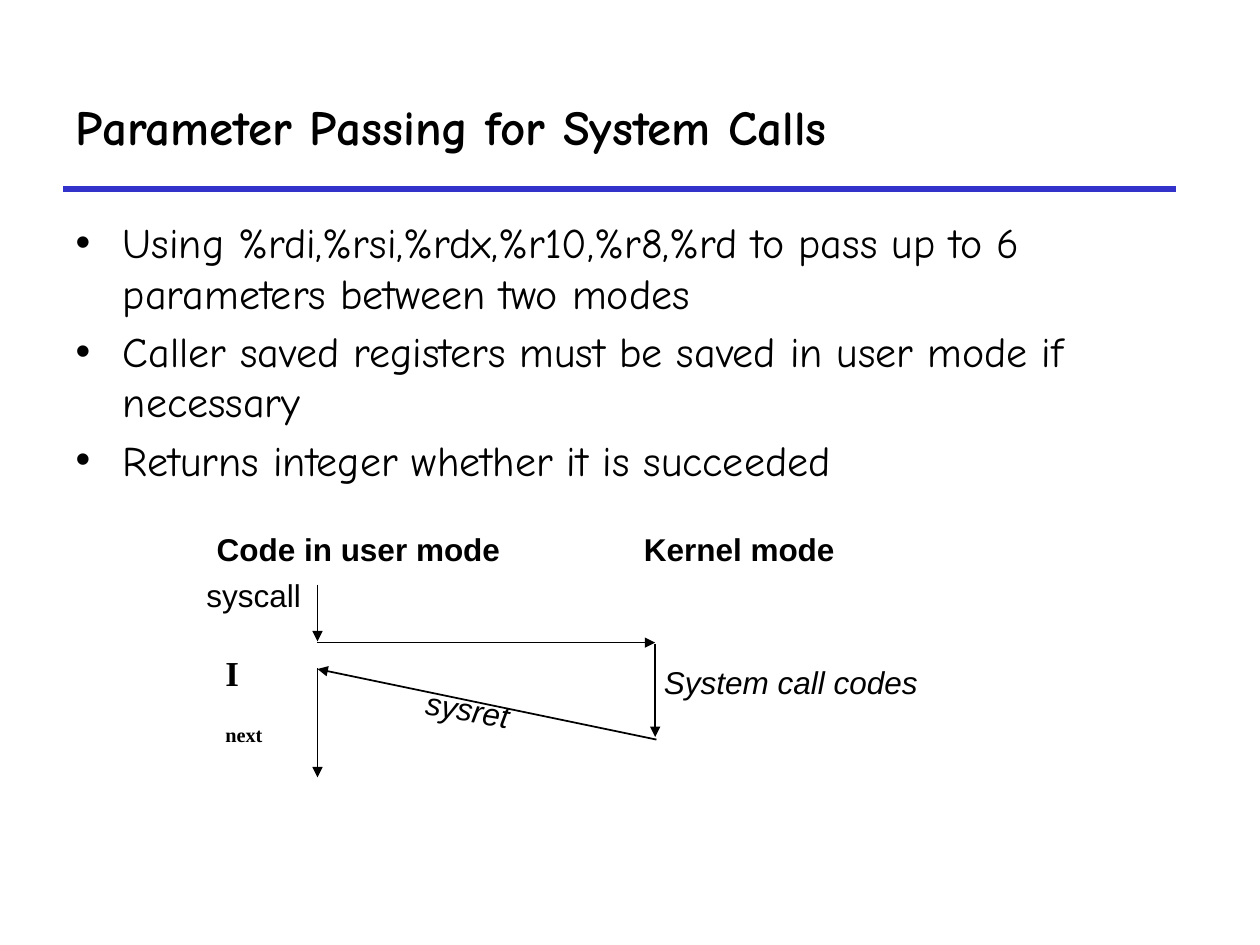
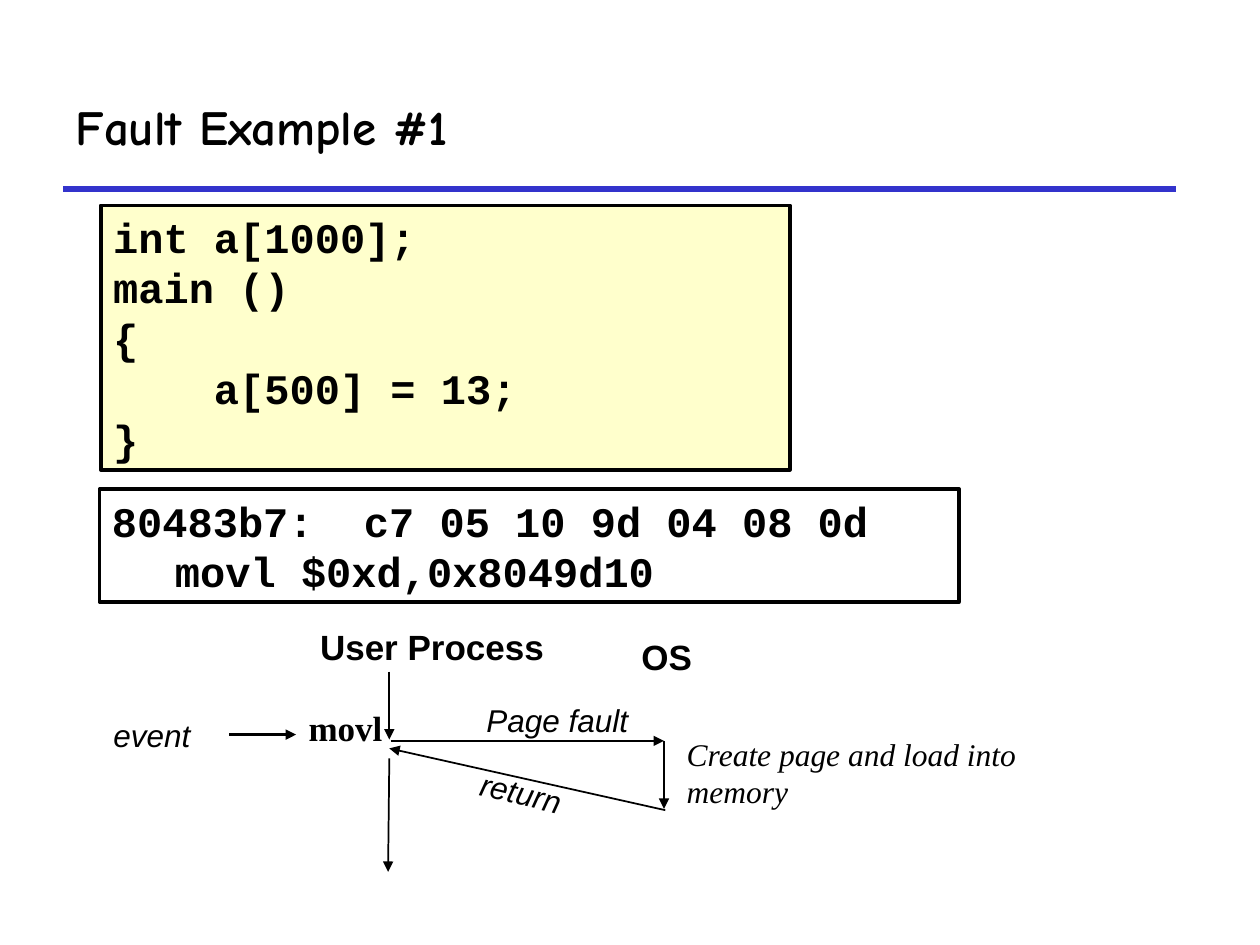
from dataclasses import dataclass

from lxml import etree
from pptx import Presentation
from pptx.dml.color import RGBColor
from pptx.enum import shapes, text
from pptx.oxml.ns import qn
from pptx.util import Inches, Pt

COLORS = {"ink": "000000", "rule": "3333CC", "code": "FFFFCC", "paper": "FFFFFF"}
HEADING_FONT = "Comic Neue"
LABEL_FONT = "Arial"
SERIF_FONT = "Times New Roman"
CODE_FONT = "Courier New"
TIGHT = (0.07, 0.04)
LOOSE = (0.1, 0.05)


@dataclass
class Label:
    words: str
    left: float
    top: float
    width: float
    height: float = 0.37
    size: int = 18
    font: str = LABEL_FONT
    bold: bool = False
    italic: bool = False
    rotation: float = 0
    wrap: bool = False
    inset: tuple[float, float] = TIGHT
    subscript: str = ""


@dataclass
class Arrow:
    x1: float
    y1: float
    x2: float
    y2: float
    weight: float = 1


@dataclass
class CodeBox:
    left: float
    top: float
    width: float
    height: float
    fill: str
    lines: list[str]


SYSCALL_LABELS = [
    Label("Code in user mode", 1.65, 4.17, 2.4, bold=True),
    Label("Kernel mode", 5.04, 4.17, 1.66, bold=True),
    Label("System call codes", 5.2, 5.22, 2.8, italic=True, wrap=True),
    Label("sysret", 3.31, 5.44, 0.82, italic=True, rotation=9.4),
    Label("syscall", 1.54, 4.52, 0.95, 0.4, inset=LOOSE),
    Label("I", 1.69, 5.12, 0.64, 0.48, 20, SERIF_FONT, bold=True,
          inset=LOOSE, subscript=" next"),
]
SYSCALL_ARROWS = [
    Arrow(2.52, 4.64, 2.52, 5.09),
    Arrow(2.52, 5.1, 5.2, 5.1),
    Arrow(5.2, 5.11, 5.2, 5.85),
    Arrow(5.21, 5.87, 2.52, 5.31),
    Arrow(2.52, 5.3, 2.52, 6.17),
]
FAULT_LABELS = [
    Label("User Process", 2.47, 4.92, 1.93, 0.41, 20, bold=True),
    Label("OS", 5.02, 5, 0.55, 0.41, 20, bold=True),
    Label("Page fault", 3.79, 5.52, 1.27, italic=True),
    Label("Create page and load into memory", 5.38, 5.79, 3.12, 0.67,
          font=SERIF_FONT, italic=True, wrap=True),
    Label("return", 3.74, 6.11, 0.87, italic=True, rotation=13.4),
    Label("event", 0.83, 5.64, 0.9, italic=True, wrap=True),
    Label("movl", 2.35, 5.56, 0.79, 0.44, 20, SERIF_FONT, bold=True, inset=LOOSE),
]
FAULT_ARROWS = [
    Arrow(3.09, 5.33, 3.09, 5.87),
    Arrow(3.1, 5.88, 5.27, 5.88),
    Arrow(5.27, 5.88, 5.27, 6.42),
    Arrow(5.28, 6.43, 3.09, 5.94),
    Arrow(3.09, 6.02, 3.08, 6.92),
    Arrow(1.82, 5.83, 2.35, 5.83, weight=2),
]
CODE_BOXES = [
    CodeBox(0.8, 1.63, 5.47, 2.1, "code",
            ["int a[1000];", "main ()", "{", "    a[500] = 13;", "}"]),
    CodeBox(0.79, 3.88, 6.82, 0.9, "paper",
            ["80483b7:\tc7 05 10 9d 04 08 0d", "\tmovl $0xd,0x8049d10"]),
]


def rgb(name: str) -> RGBColor:
    return RGBColor.from_string(COLORS[name])


def add_run(p, words: str, *, size: float, font: str, bold=False, italic=False):
    r = p.add_run()
    r.text = words
    r.font.size, r.font.name = Pt(size), font
    r.font.bold, r.font.italic = bold, italic
    r.font.color.rgb = rgb("ink")
    return r


def write(tf, lines: list[str], *, gap: float = 0, inset=LOOSE, wrap=True,
          anchor=text.MSO_ANCHOR.TOP, fit=text.MSO_AUTO_SIZE.NONE, **style) -> None:
    tf.auto_size, tf.word_wrap, tf.vertical_anchor = fit, wrap, anchor
    tf.margin_left = tf.margin_right = Inches(inset[0])
    tf.margin_top = tf.margin_bottom = Inches(inset[1])
    for i, line in enumerate(lines):
        p = tf.add_paragraph() if i else tf.paragraphs[0]
        p.alignment = text.PP_ALIGN.LEFT
        p.space_before = Pt(gap if i else 0)
        add_run(p, line, **style)


def place(sp, left: float, top: float, width: float, height: float) -> None:
    sp.left, sp.top = Inches(left), Inches(top)
    sp.width, sp.height = Inches(width), Inches(height)


def add_line(s, x1: float, y1: float, x2: float, y2: float, color: str, weight: float):
    sp = s.shapes.add_connector(shapes.MSO_CONNECTOR.STRAIGHT,
                                Inches(x1), Inches(y1), Inches(x2), Inches(y2))
    sp.line.color.rgb = rgb(color)
    sp.line.width = Pt(weight)
    etree.SubElement(sp._element.spPr, qn("a:effectLst"))
    return sp


def add_arrow(s, a: Arrow) -> None:
    sp = add_line(s, a.x1, a.y1, a.x2, a.y2, "ink", a.weight)
    etree.SubElement(sp.line._get_or_add_ln(), qn("a:tailEnd"), type="triangle")


def add_label(s, b: Label) -> None:
    sp = s.shapes.add_textbox(Inches(b.left), Inches(b.top),
                              Inches(b.width), Inches(b.height))
    sp.rotation = b.rotation
    style = dict(size=b.size, font=b.font, bold=b.bold, italic=b.italic)
    write(sp.text_frame, [b.words], inset=b.inset, wrap=b.wrap,
          fit=text.MSO_AUTO_SIZE.SHAPE_TO_FIT_TEXT, **style)
    if b.subscript:
        r = add_run(sp.text_frame.paragraphs[0], b.subscript, **style)
        r.font._element.set("baseline", "-25000")


def add_code(s, b: CodeBox) -> None:
    sp = s.shapes.add_shape(shapes.MSO_SHAPE.RECTANGLE, Inches(b.left), Inches(b.top),
                            Inches(b.width), Inches(b.height))
    sp.shadow.inherit = False
    sp.fill.solid()
    sp.fill.fore_color.rgb = rgb(b.fill)
    sp.line.color.rgb = rgb("ink")
    sp.line.width = Pt(2)
    write(sp.text_frame, b.lines, size=24, font=CODE_FONT, bold=True,
          fit=text.MSO_AUTO_SIZE.SHAPE_TO_FIT_TEXT)


def add_slide(prs, layout: int, title: str):
    s = prs.slides.add_slide(prs.slide_layouts[layout])
    add_line(s, 0.5, 1.5, 9.33, 1.5, "rule", 3)
    place(s.shapes.title, 0.5, 0.5, 8.83, 1)
    write(s.shapes.title.text_frame, [title], size=28, font=HEADING_FONT, bold=True,
          anchor=text.MSO_ANCHOR.MIDDLE)
    return s


def add_diagram(s, arrows: list[Arrow], labels: list[Label]) -> None:
    for a in arrows:
        add_arrow(s, a)
    for b in labels:
        add_label(s, b)


def build_syscall_slide(prs) -> None:
    s = add_slide(prs, 1, "Parameter Passing for System Calls")
    body = s.placeholders[1]
    place(body, 0.5, 1.67, 8.92, 2.33)
    write(body.text_frame, [
        "Using %rdi,%rsi,%rdx,%r10,%r8,%rd to pass up to 6 parameters between two modes",
        "Caller saved registers must be saved in user mode if necessary",
        "Returns integer whether it is succeeded",
    ], size=24, font=HEADING_FONT, gap=4.5)
    add_diagram(s, SYSCALL_ARROWS, SYSCALL_LABELS)


def build_fault_slide(prs) -> None:
    s = add_slide(prs, 5, "Fault Example #1")
    for b in CODE_BOXES:
        add_code(s, b)
    add_diagram(s, FAULT_ARROWS, FAULT_LABELS)


def main() -> None:
    prs = Presentation()
    prs.slide_width, prs.slide_height = Inches(10), Inches(7.5)
    build_syscall_slide(prs)
    build_fault_slide(prs)
    prs.save("out.pptx")


if __name__ == "__main__":
    main()
